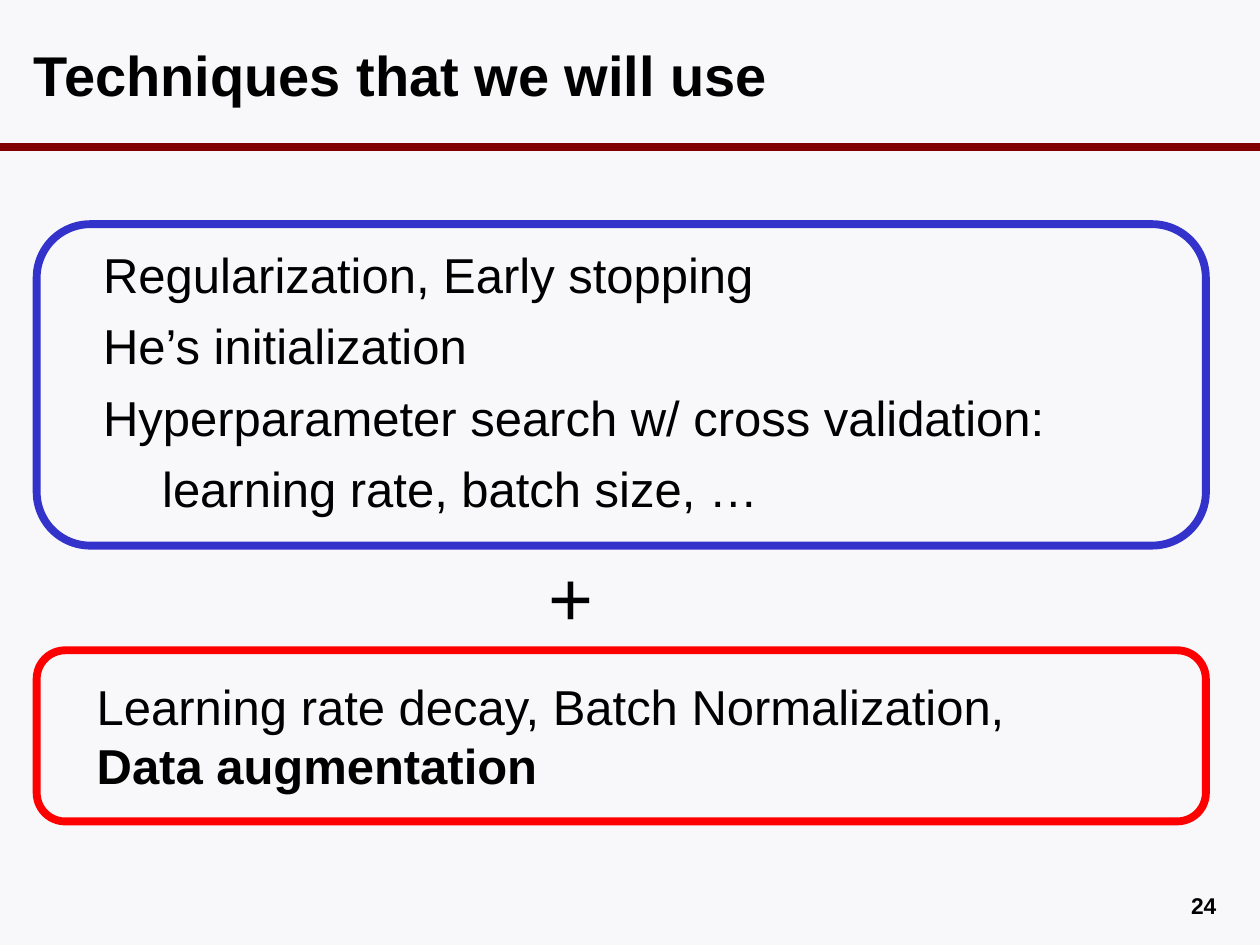
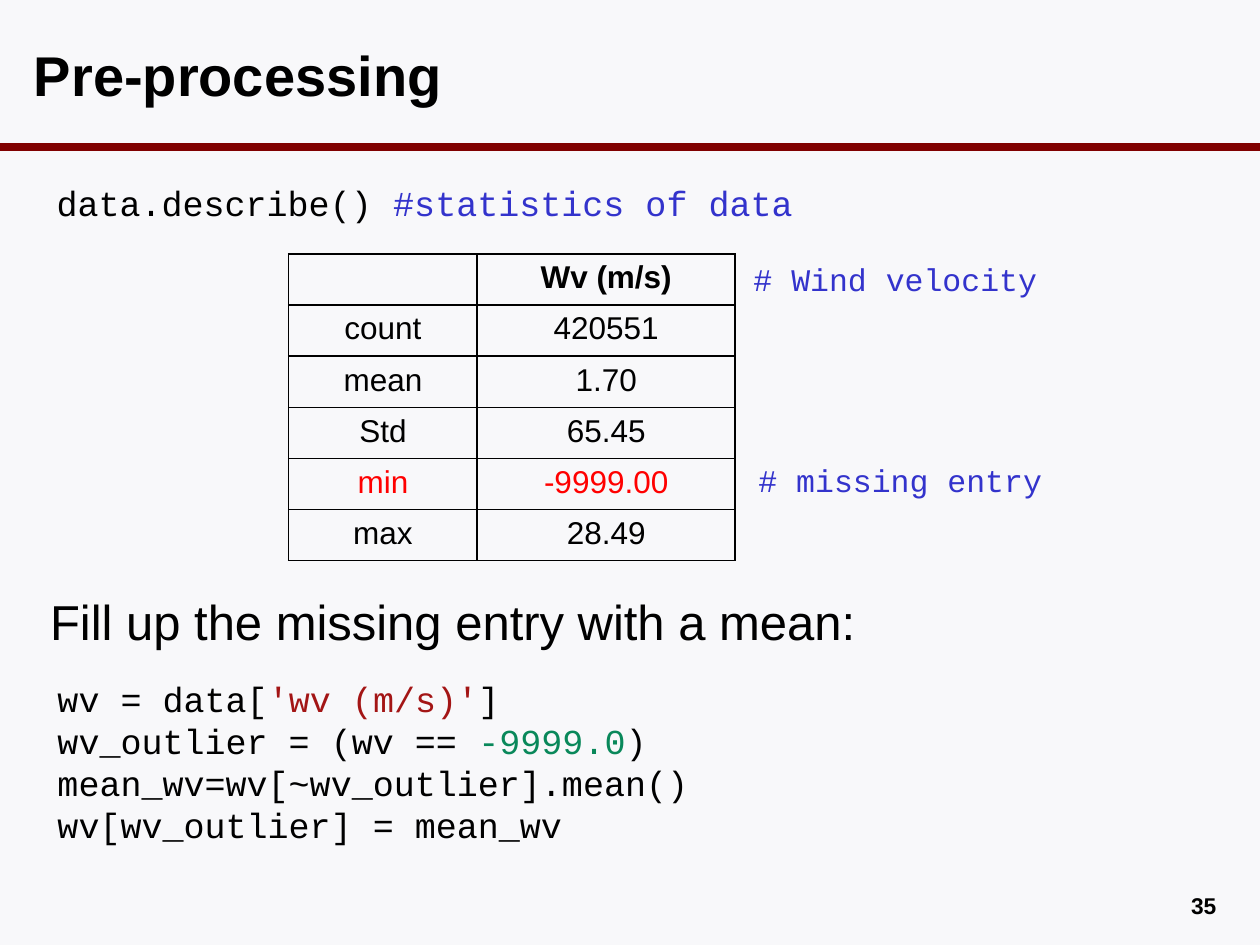
from lxml.etree import SubElement
from pptx import Presentation
from pptx.dml.color import RGBColor
from pptx.enum.shapes import MSO_CONNECTOR as Connector, MSO_SHAPE as Shape
from pptx.enum.text import MSO_ANCHOR as Anchor, PP_ALIGN as Align
from pptx.oxml import parse_xml
from pptx.oxml.ns import nsdecls, qn
from pptx.util import Cm, Pt

COLORS = {
    "paper": "F8F8FA",
    "ink": "000000",
    "rule": "800000",
    "blue": "3333CC",
    "red": "FF0000",
    "string": "A31515",
    "number": "09885A",
}
SANS, MONO = "Arial", "Courier New"
TITLE_ONLY = 5


def rgb(name):
    """Return the named palette colour."""
    return RGBColor.from_string(COLORS[name])


class Lecture:
    """Hold the lecture style, the deck and the current page."""

    def __init__(self):
        """Start a 4:3 deck with the shared background."""
        self.deck = Presentation()
        self.deck.slide_width, self.deck.slide_height = Cm(25.4), Cm(19.05)
        fill = self.deck.slide_master.background.fill
        fill.solid()
        fill.fore_color.rgb = rgb("paper")
        self.page = None

    def start_page(self, title, number):
        """Add a page with its rule, title and page number."""
        self.page = self.deck.slides.add_slide(self.deck.slide_layouts[TITLE_ONLY])
        self.rule(2.97)
        heading = self.page.shapes.title
        heading.left, heading.top = Cm(0.43), Cm(0.43)
        heading.width, heading.height = Cm(24.28), Cm(2.11)
        heading.text_frame.vertical_anchor = Anchor.MIDDLE
        self.add_lines(heading.text_frame, [[(title, "ink", True)]], 32)
        self.text(18.85, 17.86, 5.92, 0.69, [[(number, "ink", True)]], 13, align=Align.RIGHT)

    def rule(self, top):
        """Draw the rule across the page."""
        line = self.page.shapes.add_connector(
            Connector.STRAIGHT, 0, Cm(top), self.deck.slide_width, Cm(top))
        line.line.color.rgb = rgb("rule")
        line.line.width = Pt(4.5)
        SubElement(line._element.spPr, qn("a:effectLst"))

    def add_lines(self, frame, lines, size, font=SANS, align=Align.LEFT):
        """Fill a frame with lines of (words, colour, bold) spans."""
        for index, spans in enumerate(lines):
            para = frame.paragraphs[0] if index == 0 else frame.add_paragraph()
            para.alignment = align
            for words, color, bold in spans:
                span = para.add_run()
                span.text = words
                span.font.name, span.font.size = font, Pt(size)
                span.font.bold = bold
                span.font.color.rgb = rgb(color)

    def text(self, left, top, width, height, lines, size, font=SANS, align=Align.LEFT):
        """Add a wrapped text box."""
        box = self.page.shapes.add_textbox(Cm(left), Cm(top), Cm(width), Cm(height))
        box.text_frame.word_wrap = True
        self.add_lines(box.text_frame, lines, size, font, align)

    def frame(self, top, height, color):
        """Add a hollow rounded frame."""
        box = self.page.shapes.add_shape(
            Shape.ROUNDED_RECTANGLE, Cm(0.74), Cm(top), Cm(23.57), Cm(height))
        box.shadow.inherit = False
        box.fill.background()
        box.line.color.rgb = rgb(color)
        box.line.width = Pt(4.5)

    def table(self, left, top, widths, row_height, rows, marked):
        """Add a ruled table with a bold head and one marked row."""
        grid = self.page.shapes.add_table(
            len(rows), len(widths), Cm(left), Cm(top),
            Cm(sum(widths)), Cm(row_height * len(rows))).table
        grid.first_row = grid.horz_banding = False
        for column, width in zip(grid.columns, widths):
            column.width = Cm(width)
        for index, row in enumerate(rows):
            grid.rows[index].height = Cm(row_height)
            color = "red" if index == marked else "ink"
            for place, words in enumerate(row):
                cell = grid.cell(index, place)
                cell.fill.background()
                self.border(cell)
                if words:
                    self.add_lines(cell.text_frame, [[(words, color, index == 0)]], 18,
                                   align=Align.CENTER)

    def border(self, cell):
        """Rule all four sides of a cell."""
        props = cell._tc.get_or_add_tcPr()
        for place, side in enumerate(("lnL", "lnR", "lnT", "lnB")):
            props.insert(place, parse_xml(
                f'<a:{side} {nsdecls("a")} w="{Pt(1)}"><a:solidFill>'
                f'<a:srgbClr val="{COLORS["ink"]}"/></a:solidFill></a:{side}>'))


def plain(words, color="ink"):
    """Return a regular span."""
    return words, color, False


def build_techniques(lecture):
    """Build the page of training techniques."""
    lecture.start_page("Techniques that we will use", "24")
    techniques = [
        ("Regularization, Early stopping", 0),
        ("He’s initialization", 0),
        ("Hyperparameter search w/ cross validation:", 0),
        ("learning rate, batch size, …", 1.19),
    ]
    for index, (words, indent) in enumerate(techniques):
        lecture.text(1.83 + indent, 4.8 + 1.44 * index, 21.26 - indent, 1.45,
                     [[plain(words)]], 28)
    lecture.frame(4.52, 6.48, "blue")
    lecture.frame(13.11, 3.45, "red")
    lecture.text(10.8, 10.95, 1.5, 2.13, [[plain("+")]], 44)
    lecture.text(1.7, 13.51, 22.43, 2.64, [
        [plain("Learning rate decay, Batch Normalization,")],
        [("Data augmentation", "ink", True)],
    ], 28)


def build_preprocessing(lecture):
    """Build the page on cleaning the wind data."""
    lecture.start_page("Pre-processing", "35")
    lecture.text(0.89, 3.53, 21, 1.12, [
        [plain("data.describe() "), plain("#statistics of data", "blue")],
    ], 20, MONO)
    lecture.text(0.91, 13.54, 15.39, 3.7, [
        [plain("wv = data["), plain("'wv (m/s)'", "string"), plain("]")],
        [plain("wv_outlier = (wv == "), plain("-9999.0", "number"), plain(")")],
        [plain("mean_wv=wv[~wv_outlier].mean()")],
        [plain("wv[wv_outlier] = mean_wv")],
    ], 20, MONO)
    statistics = [
        ("", "Wv (m/s)"),
        ("count", "420551"),
        ("mean", "1.70"),
        ("Std", "65.45"),
        ("min", "-9999.00"),
        ("max", "28.49"),
    ]
    lecture.table(5.82, 5.12, (3.8, 5.2), 1.03, statistics, marked=4)
    for left, top, remark in ((14.94, 5.11, "# Wind velocity"),
                              (15.04, 9.17, "# missing entry")):
        lecture.text(left, top, 6.6, 1.02, [[plain(remark, "blue")]], 18, MONO)
    lecture.text(0.76, 11.79, 17.6, 1.45,
                 [[plain("Fill up the missing entry with a mean:")]], 28)


def main():
    """Build and save the deck."""
    lecture = Lecture()
    build_techniques(lecture)
    build_preprocessing(lecture)
    lecture.deck.save("out.pptx")


if __name__ == "__main__":
    main()
